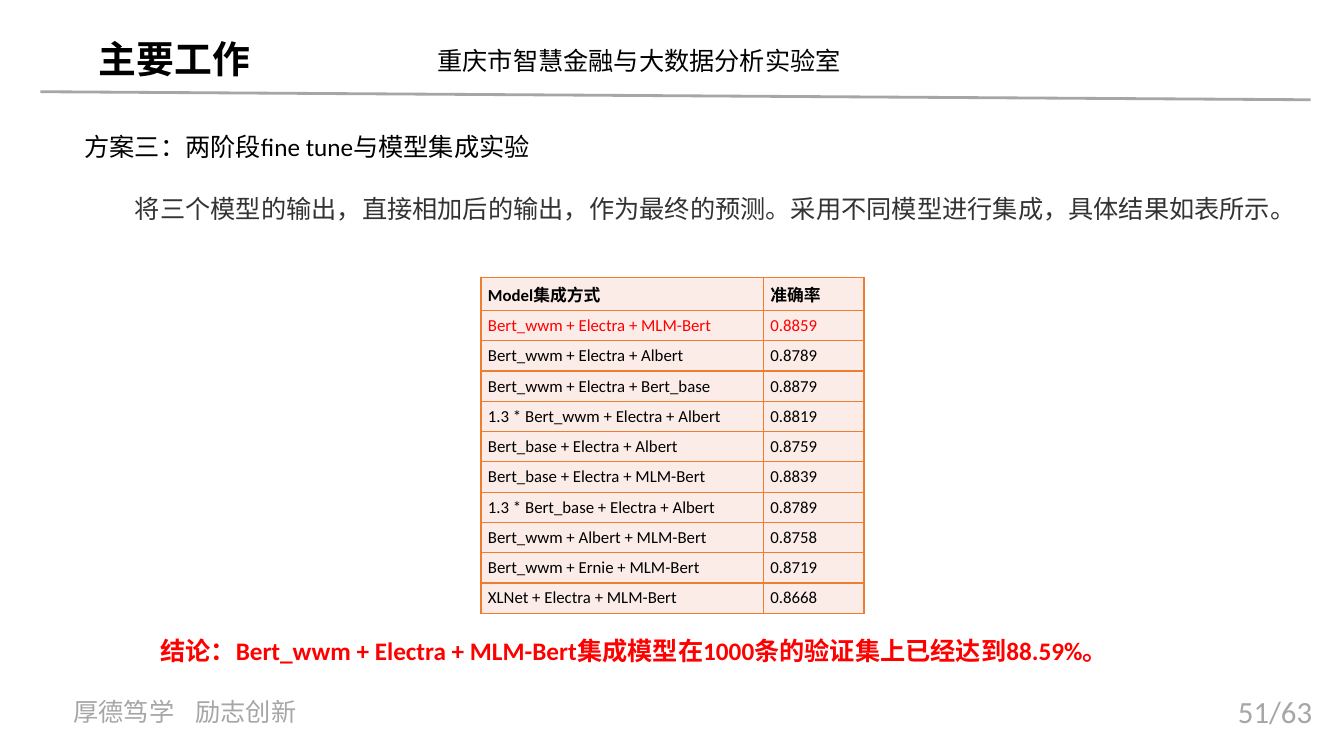
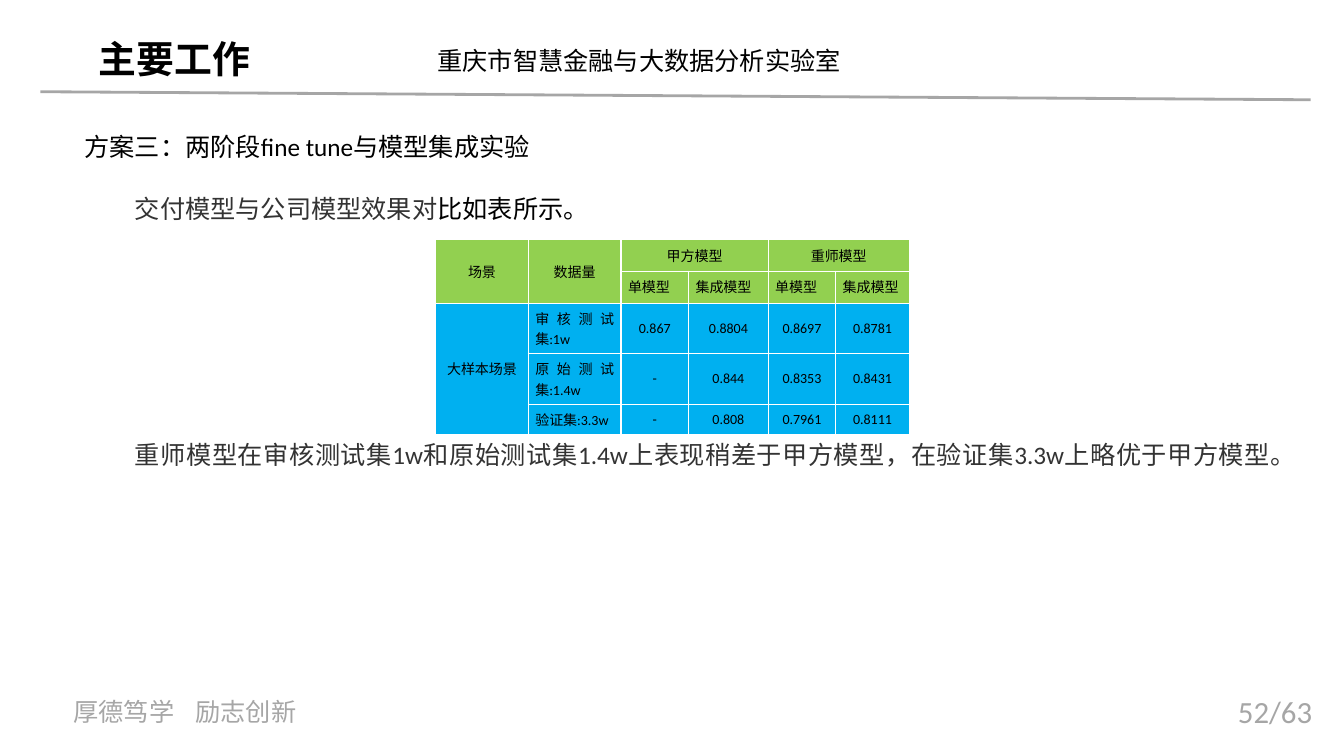
from lxml.etree import SubElement
from pptx import Presentation
from pptx.dml.color import RGBColor
from pptx.enum.shapes import MSO_CONNECTOR
from pptx.enum.text import MSO_ANCHOR, PP_ALIGN
from pptx.oxml.ns import qn
from pptx.util import Pt

PX = 9144
BLACK = RGBColor(0x00, 0x00, 0x00)
WHITE = RGBColor(0xFF, 0xFF, 0xFF)
DARK = RGBColor(0x33, 0x33, 0x33)
GRAY = RGBColor(0xA6, 0xA6, 0xA6)
RED = RGBColor(0xFF, 0x00, 0x00)
ORANGE = RGBColor(0xED, 0x7D, 0x31)
PEACH = RGBColor(0xFC, 0xEC, 0xE8)
GREEN = RGBColor(0x92, 0xD0, 0x50)
BLUE = RGBColor(0x00, 0xB0, 0xF0)
LATIN, CJK = "Calibri", "Noto Sans CJK SC"

JUSTIFY = {"alignment": PP_ALIGN.JUSTIFY}
HEADING = JUSTIFY | {"line_spacing": 0.9}
BODY = JUSTIFY | {"line_spacing": Pt(20)}
CELL_INSETS = {"margin_left": 7 * PX, "margin_right": 7 * PX,
               "margin_top": 5 * PX, "margin_bottom": 5 * PX}
PLAIN_TABLE = {"first_row": False, "horz_banding": False}
TOTAL_PAGES = 63

ENSEMBLES = [
    ("Model集成方式", "准确率"),
    ("Bert_wwm + Electra + MLM-Bert", "0.8859"),
    ("Bert_wwm + Electra + Albert", "0.8789"),
    ("Bert_wwm + Electra + Bert_base", "0.8879"),
    ("1.3 * Bert_wwm + Electra + Albert", "0.8819"),
    ("Bert_base + Electra + Albert", "0.8759"),
    ("Bert_base + Electra + MLM-Bert", "0.8839"),
    ("1.3 * Bert_base + Electra + Albert", "0.8789"),
    ("Bert_wwm + Albert + MLM-Bert", "0.8758"),
    ("Bert_wwm + Ernie + MLM-Bert", "0.8719"),
    ("XLNet + Electra + MLM-Bert", "0.8668"),
]
COMPARISON = [
    ("场景", "数据量", "甲方模型", "", "重师模型", ""),
    ("", "", "单模型", "集成模型", "单模型", "集成模型"),
    ("大样本场景", "审核测试集:1w", "0.867", "0.8804", "0.8697", "0.8781"),
    ("", "原始测试集:1.4w", "-", "0.844", "0.8353", "0.8431"),
    ("", "验证集:3.3w", "-", "0.808", "0.7961", "0.8111"),
]
MERGES = [(0, 0, 1, 0), (0, 1, 1, 1), (0, 2, 0, 3), (0, 4, 0, 5), (2, 0, 4, 0)]


def apply(target, values):
    for name, value in values.items():
        setattr(target, name, value)


def add_run(p, text, color, size=18, bold=False, latin=LATIN):
    r = p.add_run()
    r.text = text
    apply(r.font, {"size": Pt(size), "bold": bold, "name": latin})
    r.font.color.rgb = color
    SubElement(r.font._element, qn("a:ea"), typeface=CJK)


def add_text(s, box, runs, para=None, indent=0, wrap=True, **font):
    tf = s.shapes.add_textbox(*(v * PX for v in box)).text_frame
    tf.word_wrap = wrap
    p = tf.paragraphs[0]
    apply(p, para or {})
    if indent:
        p._p.get_or_add_pPr().set("indent", str(indent * PX))
    for text, color in runs:
        add_run(p, text, color, **font)
    return p


def add_tab_stop(p, pos):
    tabs = SubElement(p._p.get_or_add_pPr(), qn("a:tabLst"))
    SubElement(tabs, qn("a:tab"), pos=str(pos * PX), algn="l")


def add_rule(s, x1, y1, x2, y2):
    line = s.shapes.add_connector(MSO_CONNECTOR.STRAIGHT, *(v * PX for v in (x1, y1, x2, y2)))
    line.line.color.rgb = GRAY
    line.line.width = Pt(2)
    SubElement(line._element.spPr, qn("a:effectLst"))


def set_borders(cell, color):
    tcPr = cell._tc.get_or_add_tcPr()
    for side in ("lnL", "lnR", "lnT", "lnB"):
        ln = SubElement(tcPr, qn(f"a:{side}"), w=str(Pt(1)))
        SubElement(SubElement(ln, qn("a:solidFill")), qn("a:srgbClr"), val=str(color))


def add_grid(s, left, top, widths, heights, rows, border, size, style, merges=()):
    frame = s.shapes.add_table(len(rows), len(widths), left * PX, top * PX,
                               sum(widths) * PX, sum(heights) * PX)
    table = frame.table
    apply(table, PLAIN_TABLE)
    for col, width in zip(table.columns, widths):
        col.width = width * PX
    for row, height in zip(table.rows, heights):
        row.height = height * PX
    for i, texts in enumerate(rows):
        for j, text in enumerate(texts):
            cell = table.cell(i, j)
            fill, color, bold, centered = style(i, j)
            apply(cell, CELL_INSETS)
            set_borders(cell, border)
            cell.fill.solid()
            cell.fill.fore_color.rgb = fill
            p = cell.text_frame.paragraphs[0]
            p.alignment = PP_ALIGN.CENTER if centered else PP_ALIGN.JUSTIFY
            if centered:
                cell.vertical_anchor = MSO_ANCHOR.MIDDLE
            add_run(p, text, color, size, bold)
    for r1, c1, r2, c2 in merges:
        table.cell(r1, c1).merge(table.cell(r2, c2))


def ensemble_style(i, j):
    return PEACH, RED if i == 1 else BLACK, i == 0, False


def comparison_style(i, j):
    justified = (i == 1 and j > 1) or (i > 1 and j == 1)
    return GREEN if i < 2 else BLUE, BLACK, False, not justified


def add_page(prs, number):
    s = prs.slides.add_slide(prs.slide_layouts[6])
    add_text(s, (88, 31, 172, 56), [("主要工作", BLACK)], wrap=False,
             size=27, bold=True, latin=CJK)
    add_text(s, (424, 40, 429, 40), [("重庆市智慧金融与大数据分析实验室", BLACK)])
    add_rule(s, 40, 91, 1300, 99)
    add_text(s, (74, 129, 1192, 42), [("方案三：两阶段fine tune与模型集成实验", BLACK)], HEADING)
    motto = add_text(s, (63, 686, 299, 40), [("厚德笃学\t励志创新", GRAY)])
    add_tab_stop(motto, 121)
    add_text(s, (1218, 682, 115, 47), [(f"{number}/{TOTAL_PAGES}", GRAY)], size=22)
    return s


def add_body(s, top, *runs):
    add_text(s, (74, top, 1196, 66), runs, BODY, indent=50)


def build_ensembles(prs):
    s = add_page(prs, 51)
    add_body(s, 189, ("将三个模型的输出，直接相加后的输出，作为最终的预测。"
                      "采用不同模型进行集成，具体结果如表所示。", DARK))
    add_grid(s, 477, 275, [280, 100], [33] + [30] * 10, ENSEMBLES, ORANGE, 12, ensemble_style)
    add_text(s, (149, 629, 1100, 42),
             [("结论：Bert_wwm + Electra + MLM-Bert集成模型在1000条的验证集上已经达到88.59%。", RED)],
             HEADING, bold=True)


def build_comparison(prs):
    s = add_page(prs, 52)
    add_body(s, 189, ("交付模型与公司模型效果对", DARK), ("比如表所示。", BLACK))
    add_grid(s, 432, 238, [92, 92, 67, 79, 67, 73], [31, 32, 50, 50, 30],
             COMPARISON, WHITE, 10, comparison_style, MERGES)
    add_body(s, 433, ("重师模型在审核测试集1w和原始测试集1.4w上表现稍差于甲方模型，"
                      "在验证集3.3w上略优于甲方模型。", DARK))


def main():
    prs = Presentation()
    apply(prs, {"slide_width": 1333 * PX, "slide_height": 750 * PX})
    build_ensembles(prs)
    build_comparison(prs)
    prs.save("out.pptx")


if __name__ == "__main__":
    main()
